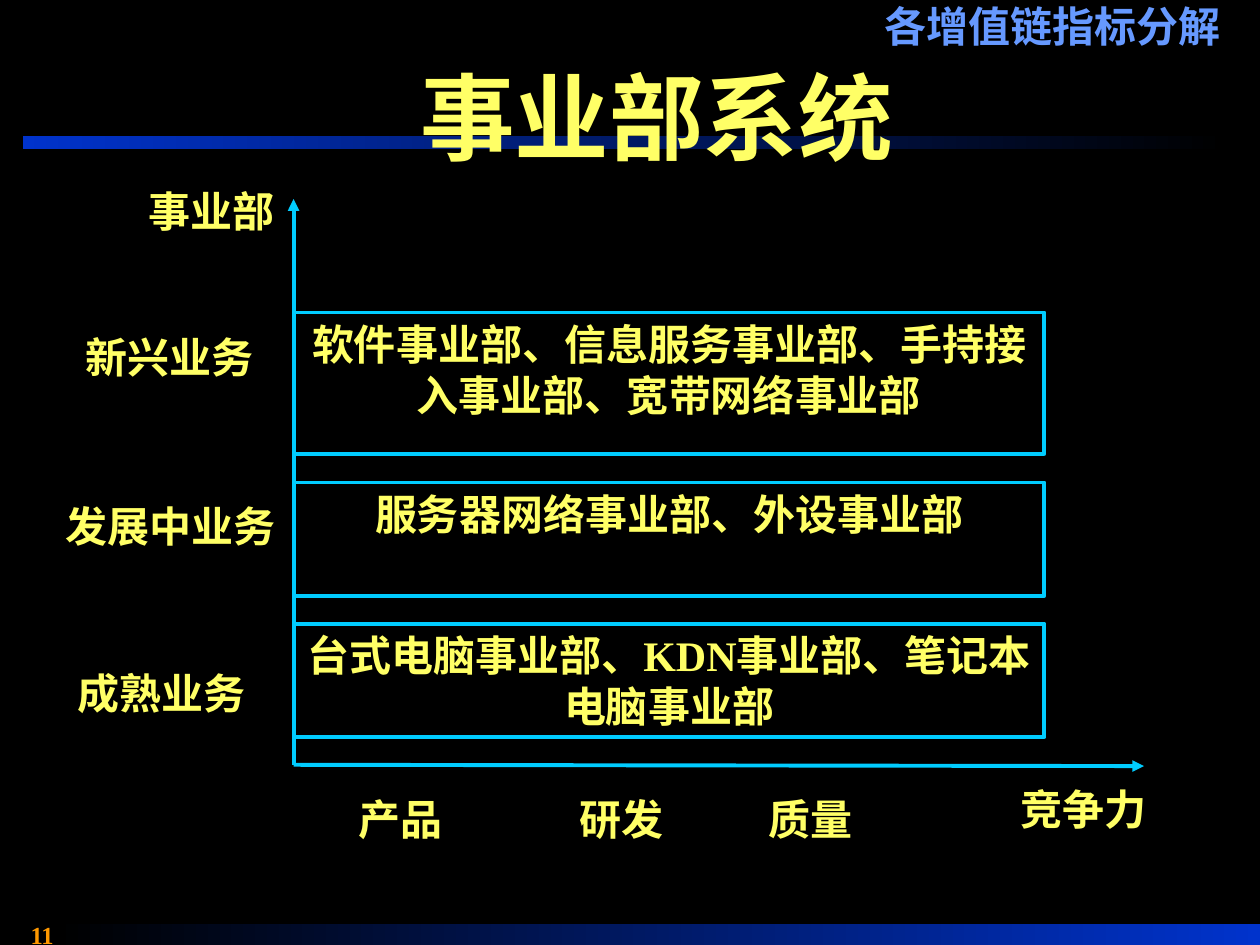
from pptx import Presentation
from pptx.dml.color import RGBColor
from pptx.enum.shapes import MSO_CONNECTOR, MSO_SHAPE
from pptx.enum.text import MSO_ANCHOR, MSO_AUTO_SIZE, PP_ALIGN
from pptx.oxml.ns import qn
from pptx.util import Inches, Pt
from lxml.etree import SubElement

COLORS = {
    "background": "000000",
    "bar": "0033CC",
    "axis": "00CCFF",
    "text": "FFFF66",
    "section": "6699FF",
    "number": "FF9900",
}
LATIN = "Times New Roman"
CJK = "Noto Sans CJK SC"


def rgb(name):
    return RGBColor.from_string(COLORS[name])


def write(sp, text, size=24, color="text", font=LATIN, align=PP_ALIGN.LEFT,
          anchor=MSO_ANCHOR.TOP, wrap=True):
    tf = sp.text_frame
    tf.word_wrap = wrap
    tf.auto_size = MSO_AUTO_SIZE.NONE
    tf.vertical_anchor = anchor
    tf.text = text
    p = tf.paragraphs[0]
    p.alignment = align
    p.font.name = font
    p.font.size = Pt(size)
    p.font.bold = True
    p.font.color.rgb = rgb(color)


def add_label(s, text, left, top, width, height=0.5, **style):
    box = s.shapes.add_textbox(*map(Inches, (left, top, width, height)))
    write(box, text, **style)


def add_bar(s, left, top, width, height, start, end):
    """Add a horizontal bar fading from the start colour to the end colour."""
    sp = s.shapes.add_shape(MSO_SHAPE.RECTANGLE,
                            *map(Inches, (left, top, width, height)))
    sp.shadow.inherit = False
    sp.line.fill.background()
    sp.fill.gradient()
    sp.fill.gradient_angle = 0
    for stop, color in zip(sp.fill.gradient_stops, (start, end)):
        stop.color.rgb = rgb(color)


def add_arrow(s, x1, y1, x2, y2):
    line = s.shapes.add_connector(MSO_CONNECTOR.STRAIGHT,
                                  *map(Inches, (x1, y1, x2, y2)))
    line.line.color.rgb = rgb("axis")
    line.line.width = Pt(2.25)
    SubElement(line.line._get_or_add_ln(), qn("a:tailEnd"), type="triangle")
    SubElement(line._element.spPr, qn("a:effectLst"))


def add_title(s, left, top, width, height):
    title = s.shapes.title
    title.left, title.top, title.width, title.height = map(
        Inches, (left, top, width, height))
    write(title, "事业部系统", size=54, font=CJK, align=PP_ALIGN.CENTER)
    # The title overlaps the upper bar, so it goes in front of it.
    s.shapes._spTree.append(title._element)


def add_frame(s):
    add_bar(s, 0.43, 7.33, 9.57, 0.17, "background", "bar")
    add_bar(s, 0.18, 1.08, 9.56, 0.1, "bar", "background")
    add_title(s, 2.5, 0.42, 5.42, 1)
    add_label(s, "各增值链指标分解", 6.92, -0.17, 3.08, 0.75, color="section",
              anchor=MSO_ANCHOR.MIDDLE, wrap=False)
    add_label(s, "11", 0, 7.25, 0.67, 0.25, size=14, color="number",
              align=PP_ALIGN.CENTER)


def add_business_chart(s, left, top, width, height):
    """Draw the axes, one box per business stage, and the axis labels."""
    bottom = top + height
    add_arrow(s, left, bottom, left + width, bottom + 0.01)
    add_arrow(s, left, bottom, left, top)

    stages = [
        (0.9, 1.12, "软件事业部、信息服务事业部、手持接入事业部、宽带网络事业部"),
        (2.25, 0.9, "服务器网络事业部、外设事业部"),
        (3.37, 0.9, "台式电脑事业部、KDN事业部、笔记本电脑事业部"),
    ]
    for offset, box_height, text in stages:
        sp = s.shapes.add_shape(
            MSO_SHAPE.RECTANGLE,
            *map(Inches, (left, top + offset, 5.96, box_height)))
        sp.shadow.inherit = False
        sp.fill.background()
        sp.line.color.rgb = rgb("axis")
        sp.line.width = Pt(2.25)
        write(sp, text, align=PP_ALIGN.CENTER)

    labels = [
        ("事业部", -1.25, -0.16, 1.42),
        ("新兴业务", -1.75, 1, 1.58),
        ("发展中业务", -1.91, 2.34, 2.08),
        ("成熟业务", -1.81, 3.67, 1.58),
        ("竞争力", 5.67, 4.59, 1.67),
        ("产品", 0.42, 4.67, 1.08),
        ("研发", 2.17, 4.67, 1.5),
        ("质量", 3.67, 4.67, 1.17),
    ]
    for text, dx, dy, label_width in labels:
        add_label(s, text, left + dx, top + dy, label_width)


def main():
    prs = Presentation()
    prs.slide_width, prs.slide_height = Inches(10), Inches(7.5)
    s = prs.slides.add_slide(prs.slide_layouts[5])
    s.background.fill.solid()
    s.background.fill.fore_color.rgb = rgb("background")
    add_frame(s)
    add_business_chart(s, 2.33, 1.58, 6.75, 4.49)
    prs.save("out.pptx")


if __name__ == "__main__":
    main()
